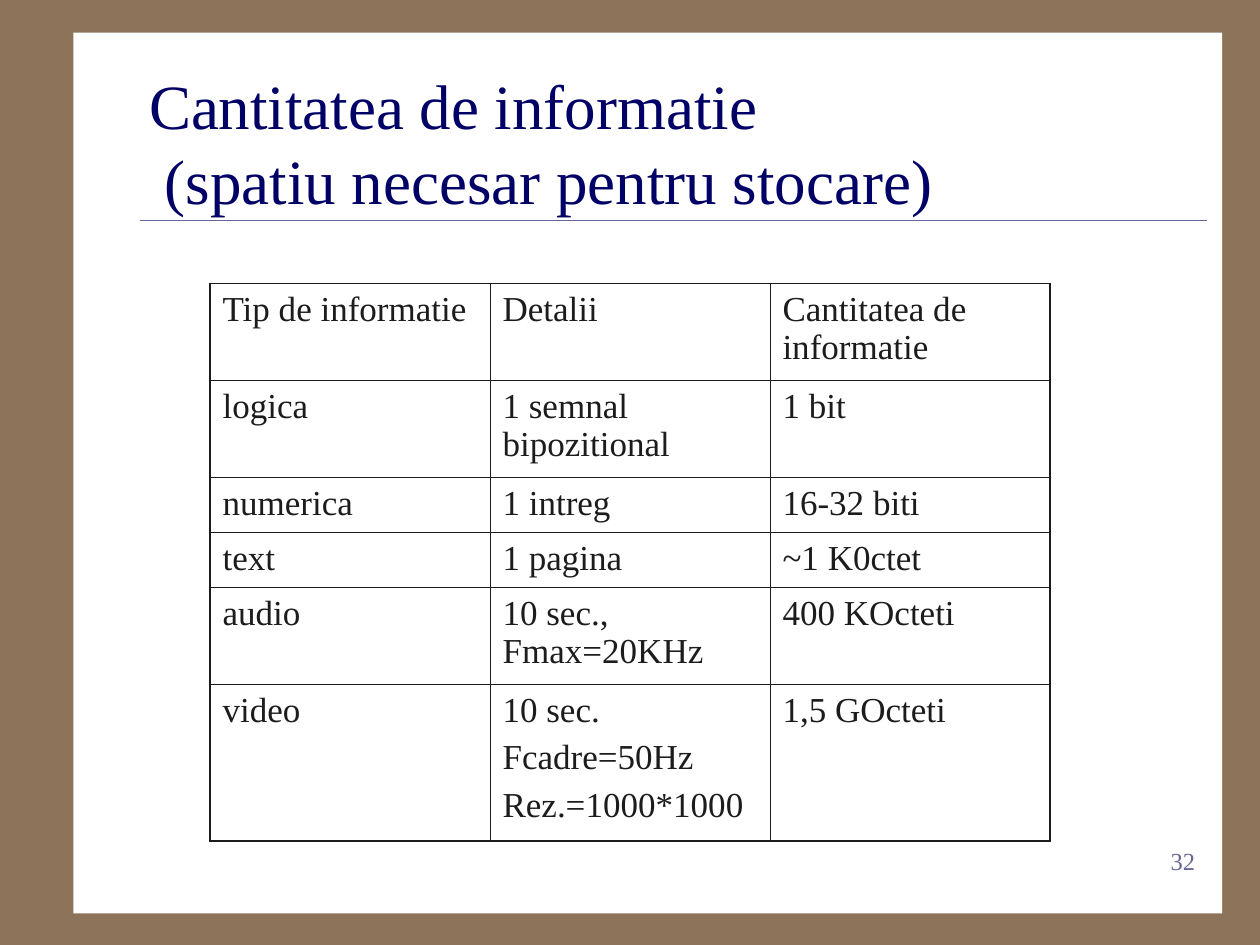
from lxml.etree import SubElement
from pptx import Presentation
from pptx.dml.color import RGBColor
from pptx.enum.shapes import MSO_CONNECTOR, MSO_SHAPE
from pptx.enum.text import MSO_ANCHOR, MSO_AUTO_SIZE, PP_ALIGN
from pptx.oxml.ns import qn
from pptx.util import Inches, Pt

HUES = {"frame": "8C735A", "page": "FFFFFF", "title": "000066",
        "rule": "666699", "ink": "1C1C1C"}
FONT = "Times New Roman"
COLS, ROWS = 120, 90
HEIGHTS = [9.24, 9.24, 5.24, 5.24, 9.24, 14.9]
DATA = [
    ("Tip de informatie", "Detalii", "Cantitatea de informatie"),
    ("logica", "1 semnal bipozitional", "1 bit"),
    ("numerica", "1 intreg", "16-32 biti"),
    ("text", "1 pagina", "~1 K0ctet"),
    ("audio", "10 sec., Fmax=20KHz", "400 KOcteti"),
    ("video", "10 sec.\nFcadre=50Hz\nRez.=1000*1000", "1,5 GOcteti"),
]


class Deck:
    def __init__(self):
        self.prs = Presentation()
        self.prs.slide_width, self.prs.slide_height = Inches(10), Inches(7.5)
        self.slide = self.prs.slides.add_slide(self.prs.slide_layouts[5])
        self.shapes = self.slide.shapes
        self.paint(self.slide.background.fill, "frame")

    def x(self, n):
        return round(self.prs.slide_width * n / COLS)

    def y(self, n):
        return round(self.prs.slide_height * n / ROWS)

    def area(self, col, row, wide, high):
        return self.x(col), self.y(row), self.x(wide), self.y(high)

    def paint(self, fill, hue):
        fill.solid()
        fill.fore_color.rgb = RGBColor.from_string(HUES[hue])

    def style(self, frame, size, hue, align=PP_ALIGN.LEFT, gap=0):
        for i, para in enumerate(frame.paragraphs):
            para.alignment = align
            para.space_before = Pt(gap if i else 0)
            para.font.name, para.font.size = FONT, Pt(size)
            para.font.color.rgb = RGBColor.from_string(HUES[hue])

    def panel(self, *area):
        box = self.shapes.add_shape(MSO_SHAPE.RECTANGLE, *self.area(*area))
        box.shadow.inherit = False
        self.paint(box.fill, "page")
        box.line.fill.background()

    def rule(self, left, right, row):
        line = self.shapes.add_connector(
            MSO_CONNECTOR.STRAIGHT, self.x(left), self.y(row), self.x(right), self.y(row))
        line.line.width = Pt(0.25)
        line.line.color.rgb = RGBColor.from_string(HUES["rule"])
        SubElement(line._element.spPr, qn("a:effectLst"))

    def title(self, text, *area):
        box = self.shapes.title
        box.left, box.top, box.width, box.height = self.area(*area)
        frame = box.text_frame
        frame.text = text
        frame.word_wrap, frame.auto_size = True, MSO_AUTO_SIZE.NONE
        frame.vertical_anchor = MSO_ANCHOR.MIDDLE
        self.style(frame, 36, "title")
        tree = self.shapes._spTree
        tree.remove(box._element)
        tree.append(box._element)

    def number(self, text, *area):
        frame = self.shapes.add_textbox(*self.area(*area)).text_frame
        frame.word_wrap = True
        frame.text = text
        self.style(frame, 14, "rule", PP_ALIGN.RIGHT)

    def edge(self, cell, side, width, at):
        props = cell._tc.get_or_add_tcPr()
        line = props.makeelement(qn("a:ln" + side), {"w": str(Pt(width))})
        fill = SubElement(line, qn("a:solidFill"))
        SubElement(fill, qn("a:srgbClr"), val=HUES["ink"])
        props.insert(at, line)

    def table(self, data, heights, col, row, wide):
        high, last = len(data), len(data[0])
        grid = self.shapes.add_table(
            high, last, *self.area(col, row, wide, sum(heights))).table
        grid.first_row = grid.horz_banding = False
        for r, texts in enumerate(data):
            grid.rows[r].height = self.y(heights[r])
            for c, text in enumerate(texts):
                cell = grid.cell(r, c)
                cell.text = text
                cell.fill.background()
                self.style(cell.text_frame, 20, "ink", gap=5)
                outer = {"L": c == 0, "R": c == last - 1,
                         "T": r == 0, "B": r == high - 1}
                for at, (side, thick) in enumerate(outer.items()):
                    self.edge(cell, side, 1.08 if thick else 0.45, at)


def main():
    deck = Deck()
    deck.panel(7, 3.1, 109.4, 83.9)
    deck.rule(13.3, 115, 21)
    deck.number("32", 90, 80, 25, 6)
    deck.title("Cantitatea de informatie\v (spatiu necesar pentru stocare)", 13, 6, 102, 15)
    deck.table(DATA, HEIGHTS, 20, 27, 80)
    deck.prs.save("out.pptx")


if __name__ == "__main__":
    main()
